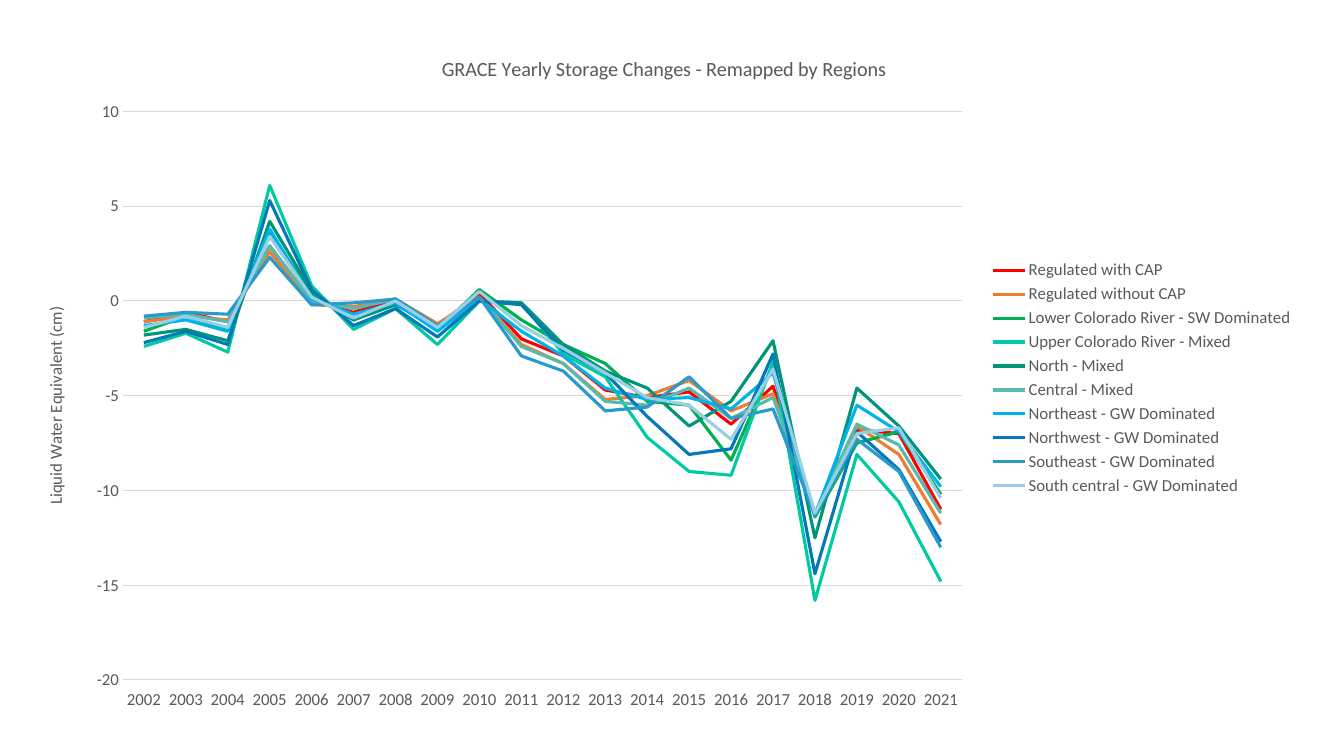
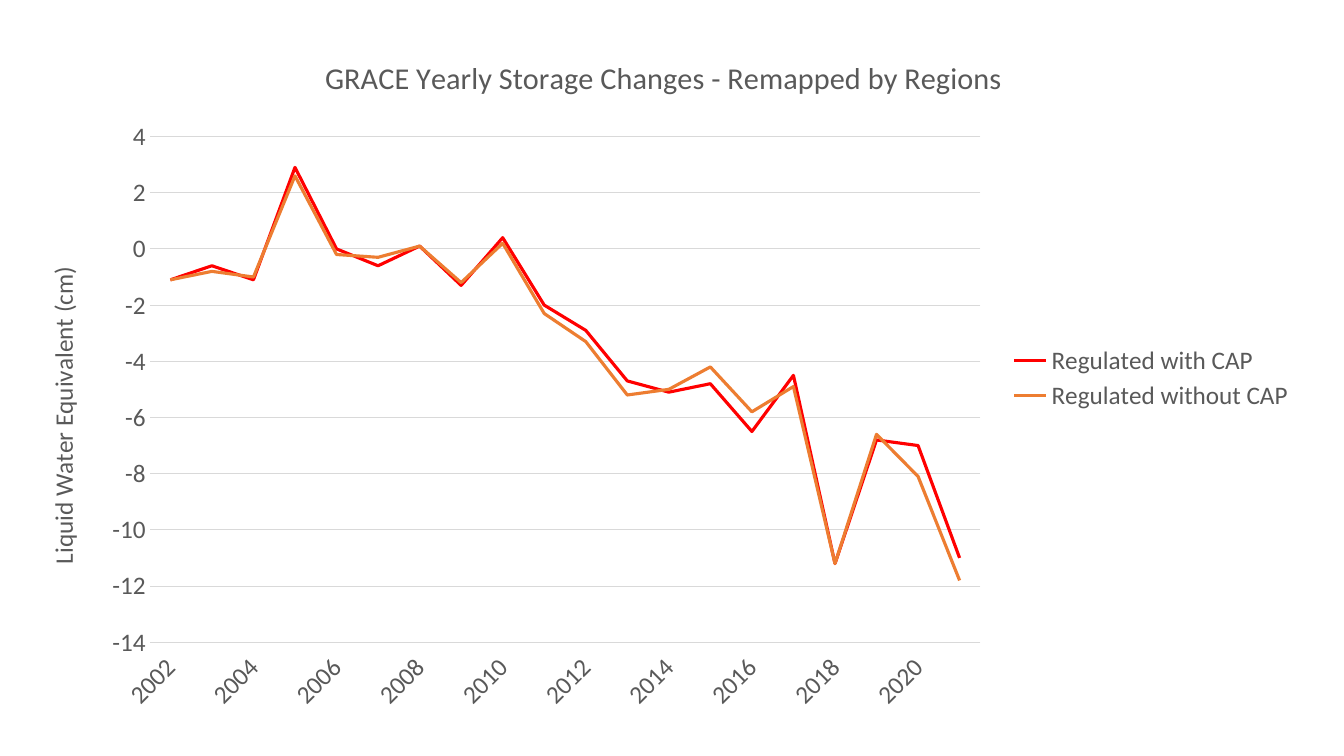
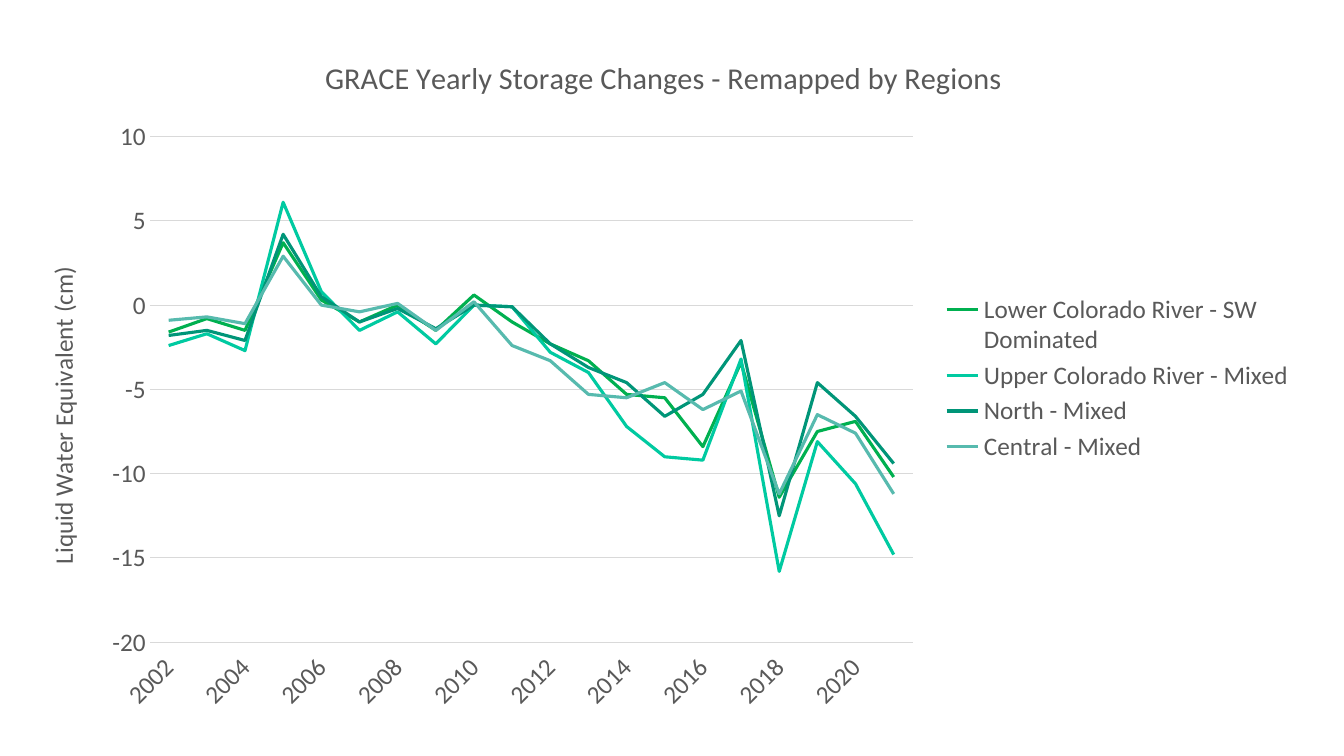
from dataclasses import dataclass

from pptx import Presentation
from pptx.chart.data import CategoryChartData
from pptx.dml.color import RGBColor
from pptx.enum.chart import (
    XL_CHART_TYPE,
    XL_LEGEND_POSITION,
    XL_TICK_LABEL_POSITION,
    XL_TICK_MARK,
)
from pptx.util import Inches, Pt

LINE = XL_CHART_TYPE.LINE
RIGHT = XL_LEGEND_POSITION.RIGHT
LOW = XL_TICK_LABEL_POSITION.LOW
NO_TICK = XL_TICK_MARK.NONE
AUTO_ROTATION = "-60000000"
QUARTER_TURN = "-5400000"


@dataclass(frozen=True)
class Theme:
    font: str = "Calibri"
    text: str = "595959"
    grid: str = "D9D9D9"
    grid_width: float = 0.75
    series_width: float = 2.25
    small: int = 12
    large: int = 18
    title_ratio: float = 1.2


THEME = Theme()
TITLE = "GRACE Yearly Storage Changes - Remapped by Regions"
AXIS_TITLE = "Liquid Water Equivalent (cm)"
YEARS = [str(year) for year in range(2002, 2022)]
CHART_BOX = [Inches(n) for n in (0.23, 0.32, 12.71, 6.86)]

REGIONS = {
    "Regulated with CAP": ("FF0000", [
        -1.1, -0.6, -1.1, 2.9, 0, -0.6, 0.1, -1.3, 0.4, -2,
        -2.9, -4.7, -5.1, -4.8, -6.5, -4.5, -11.2, -6.8, -7, -11]),
    "Regulated without CAP": ("ED7D31", [
        -1.1, -0.8, -1, 2.6, -0.2, -0.3, 0.1, -1.2, 0.2, -2.3,
        -3.3, -5.2, -5, -4.2, -5.8, -4.9, -11.2, -6.6, -8.1, -11.8]),
    "Lower Colorado River - SW Dominated": ("00B050", [
        -1.6, -0.8, -1.5, 3.7, 0.3, -1, 0, -1.5, 0.6, -1,
        -2.3, -3.3, -5.3, -5.5, -8.4, -3.4, -11.4, -7.5, -6.9, -10.2]),
    "Upper Colorado River - Mixed": ("00CAA1", [
        -2.4, -1.7, -2.7, 6.1, 0.8, -1.5, -0.4, -2.3, 0, -0.1,
        -2.8, -4, -7.2, -9, -9.2, -3.2, -15.8, -8.1, -10.6, -14.8]),
    "North - Mixed": ("009578", [
        -1.8, -1.5, -2.1, 4.2, 0.5, -1, -0.2, -1.4, 0, -0.1,
        -2.3, -3.7, -4.6, -6.6, -5.3, -2.1, -12.5, -4.6, -6.6, -9.4]),
    "Central - Mixed": ("57BAAE", [
        -0.9, -0.7, -1.1, 2.9, 0, -0.4, 0.1, -1.5, 0.2, -2.4,
        -3.3, -5.3, -5.5, -4.6, -6.2, -5.1, -11.2, -6.5, -7.6, -11.2]),
    "Northeast - GW Dominated": ("00B4EB", [
        -1.3, -1, -1.6, 3.8, 0.1, -0.7, -0.1, -1.6, 0.1, -1.6,
        -2.9, -4.6, -5.2, -5.1, -5.7, -3.8, -11.3, -5.5, -6.9, -9.8]),
    "Northwest - GW Dominated": ("0379B9", [
        -2.2, -1.6, -2.3, 5.3, 0.6, -1.3, -0.4, -1.9, 0, -0.2,
        -2.6, -3.8, -6.1, -8.1, -7.8, -2.8, -14.4, -6.9, -8.9, -12.7]),
    "Southeast - GW Dominated": ("289ACD", [
        -0.8, -0.6, -0.7, 2.3, -0.2, -0.1, 0.1, -1.3, 0.2, -2.9,
        -3.7, -5.8, -5.6, -4, -6.2, -5.7, -11.3, -7.3, -9, -13]),
    "South central - GW Dominated": ("98CFE5", [
        -1.4, -0.8, -1.4, 3.4, 0.2, -0.9, 0, -1.4, 0.5, -1.3,
        -2.5, -3.8, -5.1, -5.5, -7.3, -3.6, -11.2, -7, -6.7, -10.4]),
}
ALL_REGIONS = list(REGIONS)
REGULATED = ALL_REGIONS[:2]
RIVER_AND_MIXED = ALL_REGIONS[2:6]


def set_attrs(obj, values):
    for name, value in values.items():
        setattr(obj, name, value)


def style_font(font, size):
    set_attrs(font, {"name": THEME.font, "size": Pt(size), "bold": False})
    font.color.rgb = RGBColor.from_string(THEME.text)


def style_line(line, color, width):
    line.color.rgb = RGBColor.from_string(color)
    line.width = Pt(width)


def set_title(title, text, size):
    p = title.text_frame.paragraphs[0]
    r = p.add_run()
    r.text = text
    style_font(r.font, size)


def style_category_axis(chart, size):
    axis = chart.category_axis
    set_attrs(axis, {
        "major_tick_mark": NO_TICK,
        "minor_tick_mark": NO_TICK,
        "tick_label_position": LOW,
        "has_major_gridlines": False,
    })
    style_font(axis.tick_labels.font, size)
    style_line(axis.format.line, THEME.grid, THEME.grid_width)
    body = chart.element.xpath(".//c:catAx/c:txPr/a:bodyPr")[0]
    body.set("rot", AUTO_ROTATION)


def style_value_axis(chart, size, scale):
    axis = chart.value_axis
    low, high, step = scale
    set_attrs(axis, {
        "major_tick_mark": NO_TICK,
        "minor_tick_mark": NO_TICK,
        "minimum_scale": low,
        "maximum_scale": high,
        "major_unit": step,
        "has_major_gridlines": True,
        "has_title": True,
    })
    style_font(axis.tick_labels.font, size)
    axis.format.line.fill.background()
    style_line(axis.major_gridlines.format.line, THEME.grid, THEME.grid_width)
    set_title(axis.axis_title, AXIS_TITLE, size)
    body = chart.element.xpath(".//c:valAx/c:title//a:bodyPr")[0]
    body.set("rot", QUARTER_TURN)


def add_storage_slide(prs, names, size, scale):
    s = prs.slides.add_slide(prs.slide_layouts[6])
    data = CategoryChartData()
    data.categories = YEARS
    for name in names:
        data.add_series(name, REGIONS[name][1])
    chart = s.shapes.add_chart(LINE, *CHART_BOX, data).chart
    style_font(chart.font, size)
    set_attrs(chart, {"has_title": True, "has_legend": True})
    set_title(chart.chart_title, TITLE, size * THEME.title_ratio)
    set_attrs(chart.legend, {"position": RIGHT, "include_in_layout": False})
    style_font(chart.legend.font, size)
    style_category_axis(chart, size)
    style_value_axis(chart, size, scale)
    chart.plots[0].vary_by_categories = False
    for series in chart.plots[0].series:
        series.smooth = False
        style_line(series.format.line, REGIONS[series.name][0], THEME.series_width)


def main():
    prs = Presentation()
    set_attrs(prs, {"slide_width": Inches(13.33), "slide_height": Inches(7.5)})
    add_storage_slide(prs, ALL_REGIONS, THEME.small, (-20, 10, 5))
    add_storage_slide(prs, REGULATED, THEME.large, (-14, 4, 2))
    add_storage_slide(prs, RIVER_AND_MIXED, THEME.large, (-20, 10, 5))
    prs.save("out.pptx")


if __name__ == "__main__":
    main()
